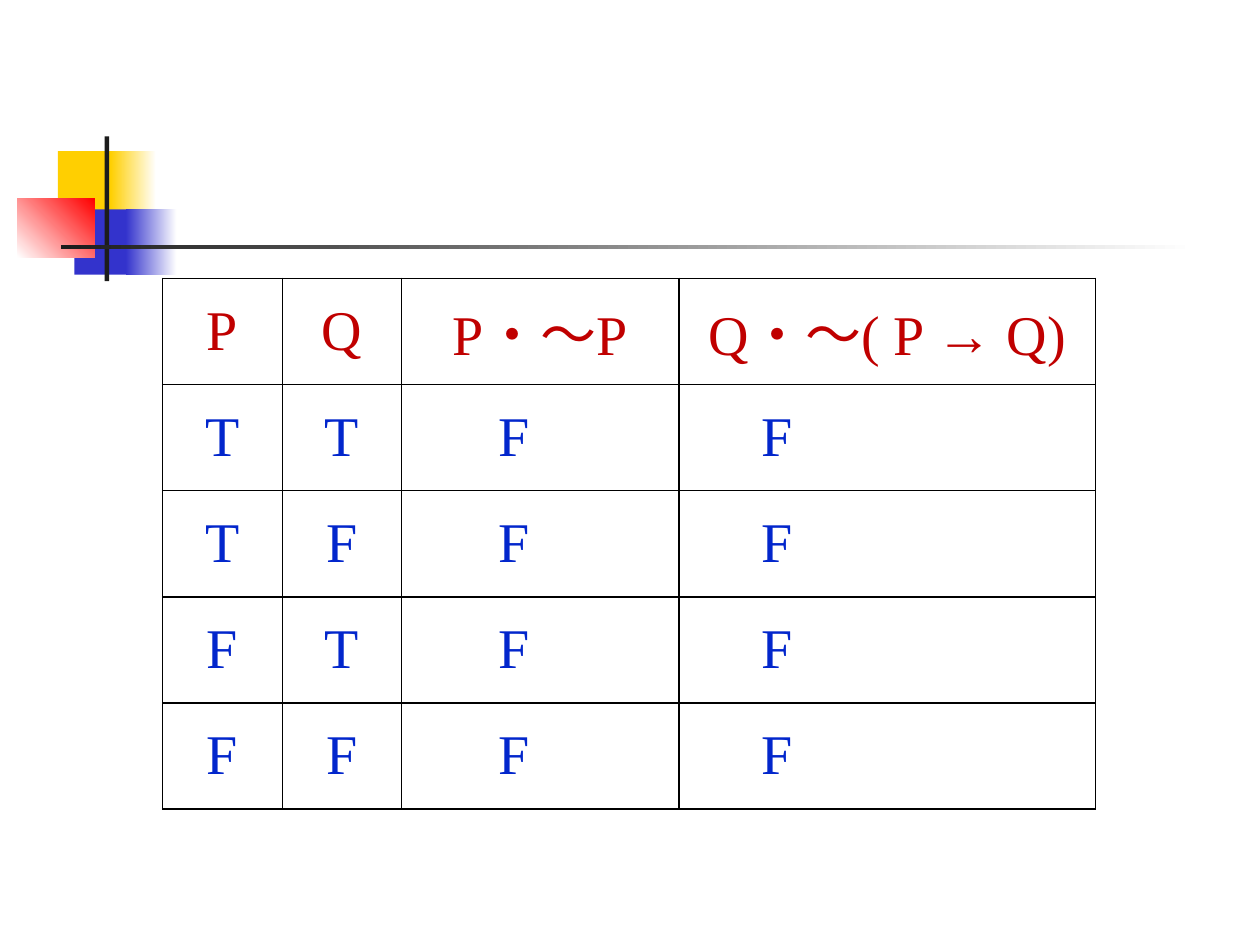
import dataclasses
import typing

import pptx
import pptx.dml.color
import pptx.enum.shapes
import pptx.enum.text
import pptx.oxml
import pptx.oxml.ns
import pptx.util

Cm = pptx.util.Cm
Pt = pptx.util.Pt
ALIGN = pptx.enum.text.PP_ALIGN


@dataclasses.dataclass(frozen=True)
class Theme:
    white: str = "FFFFFF"
    gold: str = "FFCF01"
    blue: str = "3333CC"
    red: str = "FF0000"
    dark: str = "1C1C1C"
    head: str = "C00000"
    value: str = "0226CC"
    rule: str = "000000"
    font: str = "Times New Roman"
    size: int = 32
    line: int = 1


@dataclasses.dataclass(frozen=True)
class Block:
    """A plain rectangle in cm; with an end colour it fades along the angle."""
    left: float
    top: float
    width: float
    height: float
    start: str
    end: typing.Optional[str] = None
    angle: int = 0


@dataclasses.dataclass(frozen=True)
class Column:
    """One column; an indent in cm makes its values left-aligned."""
    head: str
    values: str
    width: float
    indent: typing.Optional[float] = None


THEME = Theme()

BLOCKS = [
    Block(1.17, 3.05, 1.22, 1.32, THEME.gold),
    Block(2.23, 3.05, 0.92, 1.32, THEME.gold, THEME.white),
    Block(1.5, 4.22, 1.17, 1.32, THEME.blue),
    Block(2.54, 4.22, 1.02, 1.32, THEME.blue, THEME.white),
    Block(0.35, 4.01, 1.56, 1.18, THEME.white, THEME.red, 45),
    Block(2.11, 2.75, 0.09, 2.92, THEME.dark),
    Block(1.23, 4.94, 22.86, 0.09, THEME.dark, THEME.white),
]

COLUMNS = [
    Column("P", "TTFF", 2.41),
    Column("Q", "TFTF", 2.4),
    Column("P・～P", "FFFF", 5.6, 1.95),
    Column("Q・～( P → Q)", "FFFF", 8.4, 1.67),
]
LEFT, TOP, ROW = 3.28, 5.61, 2.14


def color(code: str) -> pptx.dml.color.RGBColor:
    return pptx.dml.color.RGBColor.from_string(code)


def draw_block(slide, block: Block) -> None:
    shape = slide.shapes.add_shape(
        pptx.enum.shapes.MSO_SHAPE.RECTANGLE,
        Cm(block.left), Cm(block.top), Cm(block.width), Cm(block.height))
    shape.shadow.inherit = False
    shape.line.fill.background()
    fill = shape.fill
    if block.end is None:
        fill.solid()
        fill.fore_color.rgb = color(block.start)
        return
    fill.gradient()
    fill.gradient_angle = block.angle
    for stop, code in zip(fill.gradient_stops, (block.start, block.end)):
        stop.color.rgb = color(code)


def add_rules(cell) -> None:
    """Draw a line on all four sides of the cell."""
    props = cell._tc.get_or_add_tcPr()
    for side in ("lnL", "lnR", "lnT", "lnB"):
        props.append(pptx.oxml.parse_xml(
            f'<a:{side} {pptx.oxml.ns.nsdecls("a")} w="{Pt(THEME.line)}">'
            f'<a:solidFill><a:srgbClr val="{THEME.rule}"/></a:solidFill>'
            f'</a:{side}>'))


def fill_cell(cell, text: str, code: str,
              indent: typing.Optional[float] = None) -> None:
    add_rules(cell)
    cell.fill.background()
    cell.vertical_anchor = pptx.enum.text.MSO_ANCHOR.MIDDLE
    cell.text_frame.text = text
    para = cell.text_frame.paragraphs[0]
    para.alignment = ALIGN.CENTER if indent is None else ALIGN.LEFT
    if indent is not None:
        cell.margin_left = Cm(indent)
    font = para.runs[0].font
    font.name = THEME.font
    font.size = Pt(THEME.size)
    font.color.rgb = color(code)


def draw_table(slide, columns: typing.List[Column]) -> None:
    count = len(columns[0].values) + 1
    width = sum(column.width for column in columns)
    table = slide.shapes.add_table(
        count, len(columns), Cm(LEFT), Cm(TOP), Cm(width), Cm(ROW * count)).table
    table.first_row = False
    table.horz_banding = False
    for row in table.rows:
        row.height = Cm(ROW)
    for x, column in enumerate(columns):
        table.columns[x].width = Cm(column.width)
        fill_cell(table.cell(0, x), column.head, THEME.head)
        for y, value in enumerate(column.values, 1):
            fill_cell(table.cell(y, x), value, THEME.value, column.indent)


def main() -> None:
    deck = pptx.Presentation()
    deck.slide_width, deck.slide_height = Cm(25.4), Cm(19.05)
    slide = deck.slides.add_slide(deck.slide_layouts[6])
    for block in BLOCKS:
        draw_block(slide, block)
    draw_table(slide, COLUMNS)
    deck.save("out.pptx")


if __name__ == "__main__":
    main()
